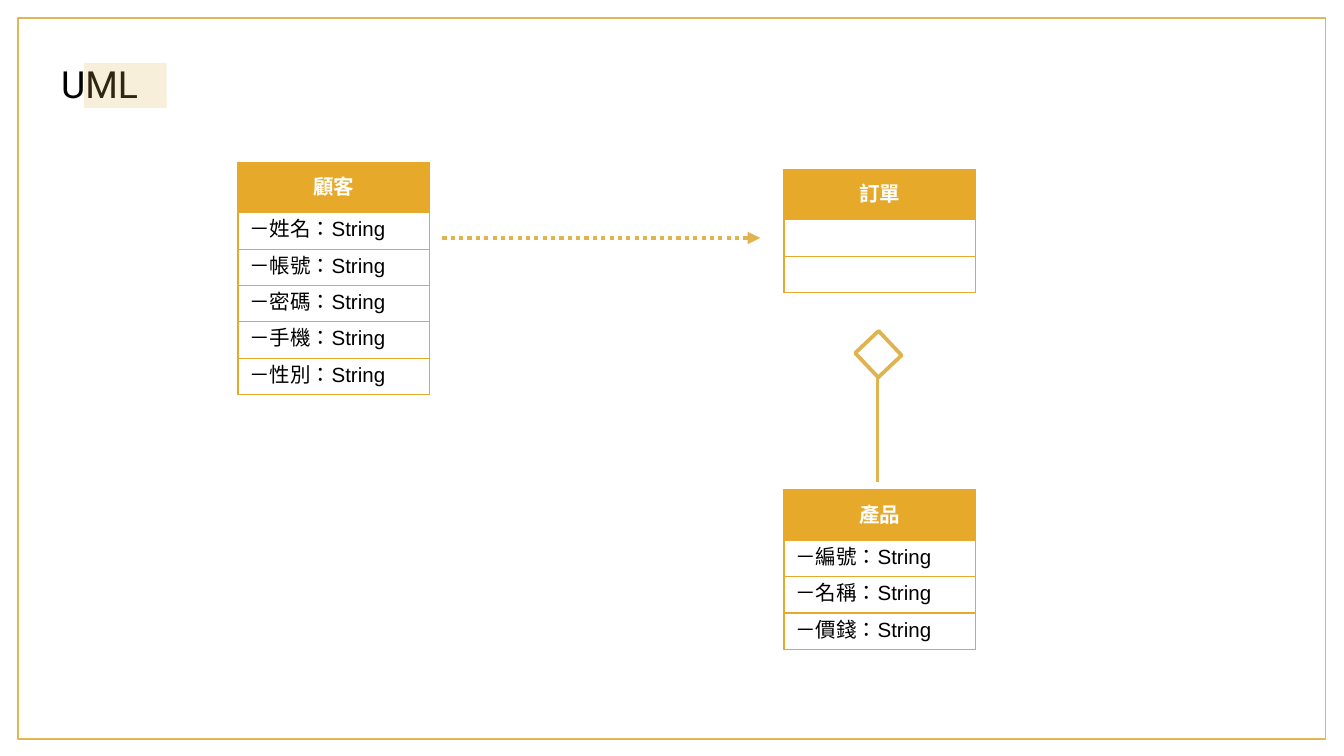
"""Build a UML class diagram slide with three classes and their relations."""
import dataclasses

import lxml.etree
import pptx
import pptx.dml.color
import pptx.enum.dml
import pptx.enum.lang
import pptx.enum.shapes
import pptx.enum.text
import pptx.oxml.ns
import pptx.util

EMU_PER_PX = 9525
ROW_H = 26
HEADER_H = 36
CLASS_W = 137


@dataclasses.dataclass(frozen=True)
class Theme:
    gold: str = "E1B653"
    line: str = "E0B34E"
    diamond: str = "DFB34D"
    table: str = "E6A92A"
    text: str = "000000"
    header_text: str = "FFFFFF"
    title_font: str = "Roboto"
    body_font: str = "Arial"
    title_size: int = 20
    body_size: int = 11


THEME = Theme()


def px(n):
    return pptx.util.Emu(n * EMU_PER_PX)


def rgb(color):
    return pptx.dml.color.RGBColor.from_string(color)


def sub(parent, tag, **attrs):
    return lxml.etree.SubElement(parent, pptx.oxml.ns.qn(tag), attrs)


def add_run(p, text, font, size, color, bold=False):
    r = p.add_run()
    r.text = text
    r.font.name = font
    r.font.size = pptx.util.Pt(size)
    r.font.bold = bold
    r.font.color.rgb = rgb(color)
    r.font.language_id = pptx.enum.lang.MSO_LANGUAGE_ID.TRADITIONAL_CHINESE
    sub(r._r.get_or_add_rPr(), "a:ea", typeface=font)


def set_title(s, text, x, y, w, h):
    sp = s.shapes.title
    sp.left, sp.top, sp.width, sp.height = px(x), px(y), px(w), px(h)
    tf = sp.text_frame
    tf.word_wrap = True
    tf.vertical_anchor = pptx.enum.text.MSO_ANCHOR.MIDDLE
    p = tf.paragraphs[0]
    p.alignment = pptx.enum.text.PP_ALIGN.LEFT
    add_run(p, text, THEME.title_font, THEME.title_size, THEME.text)


def add_rect(s, x, y, w, h, fill=None, alpha=100, line=None, width=0.75, rotation=0):
    sp = s.shapes.add_shape(
        pptx.enum.shapes.MSO_SHAPE.RECTANGLE, px(x), px(y), px(w), px(h))
    sp.shadow.inherit = False
    sp.rotation = rotation
    if fill:
        sp.fill.solid()
        sp.fill.fore_color.rgb = rgb(fill)
        color = sp._element.spPr.find(".//" + pptx.oxml.ns.qn("a:srgbClr"))
        sub(color, "a:alpha", val=str(alpha * 1000))
    else:
        sp.fill.background()
    if line:
        sp.line.color.rgb = rgb(line)
        sp.line.width = pptx.util.Pt(width)
    else:
        sp.line.fill.background()


def add_line(s, x1, y1, x2, y2, width, dash=None, arrow=False):
    c = s.shapes.add_connector(
        pptx.enum.shapes.MSO_CONNECTOR.STRAIGHT, px(x1), px(y1), px(x2), px(y2))
    c.line.color.rgb = rgb(THEME.line)
    c.line.width = pptx.util.Pt(width)
    if dash:
        c.line.dash_style = dash
    if arrow:
        sub(c.line._get_or_add_ln(), "a:tailEnd", type="triangle")
    sub(c._element.spPr, "a:effectLst")


def set_borders(cell):
    tc_pr = cell._tc.get_or_add_tcPr()
    for side in ("L", "R", "T", "B"):
        ln = sub(tc_pr, f"a:ln{side}", w=str(pptx.util.Pt(0.75)))
        sub(sub(ln, "a:solidFill"), "a:srgbClr", val=THEME.table)


def fill_cell(cell, text, header):
    set_borders(cell)
    cell.margin_left = cell.margin_right = px(8)
    cell.margin_top = cell.margin_bottom = px(4)
    p = cell.text_frame.paragraphs[0]
    if header:
        cell.fill.solid()
        cell.fill.fore_color.rgb = rgb(THEME.table)
        cell.vertical_anchor = pptx.enum.text.MSO_ANCHOR.MIDDLE
        p.alignment = pptx.enum.text.PP_ALIGN.CENTER
    else:
        cell.fill.background()
    if text:
        color = THEME.header_text if header else THEME.text
        add_run(p, text, THEME.body_font, THEME.body_size, color, header)
    else:
        sub(p._p, "a:endParaRPr", sz=str(THEME.body_size * 100))


def add_class(s, x, y, name, fields):
    rows = [name] + [f"－{field}：String" if field else "" for field in fields]
    height = HEADER_H + ROW_H * len(fields)
    table = s.shapes.add_table(
        len(rows), 1, px(x), px(y), px(CLASS_W), px(height)).table
    table.first_row = table.horz_banding = False
    for i, text in enumerate(rows):
        table.rows[i].height = px(ROW_H if i else HEADER_H)
        fill_cell(table.cell(i, 0), text, header=i == 0)


def main():
    prs = pptx.Presentation()
    prs.slide_width, prs.slide_height = px(960), px(540)
    s = prs.slides.add_slide(prs.slide_layouts[5])

    set_title(s, "UML", 34, 39, 187, 42)
    add_rect(s, 13, 13, 934, 515, line=THEME.gold)
    add_rect(s, 60, 45, 59, 32, fill=THEME.gold, alpha=21)

    add_class(s, 170, 116, "顧客", ["姓名", "帳號", "密碼", "手機", "性別"])
    add_class(s, 560, 121, "訂單", ["", ""])
    add_class(s, 560, 350, "產品", ["編號", "名稱", "價錢"])

    add_line(s, 316, 170, 543, 170, 2.25,
             dash=pptx.enum.dml.MSO_LINE.ROUND_DOT, arrow=True)
    add_line(s, 627, 344, 627, 270, 1.5)
    add_rect(s, 616, 241, 23, 24, line=THEME.diamond, width=2, rotation=316.6)

    prs.save("out.pptx")


if __name__ == "__main__":
    main()
